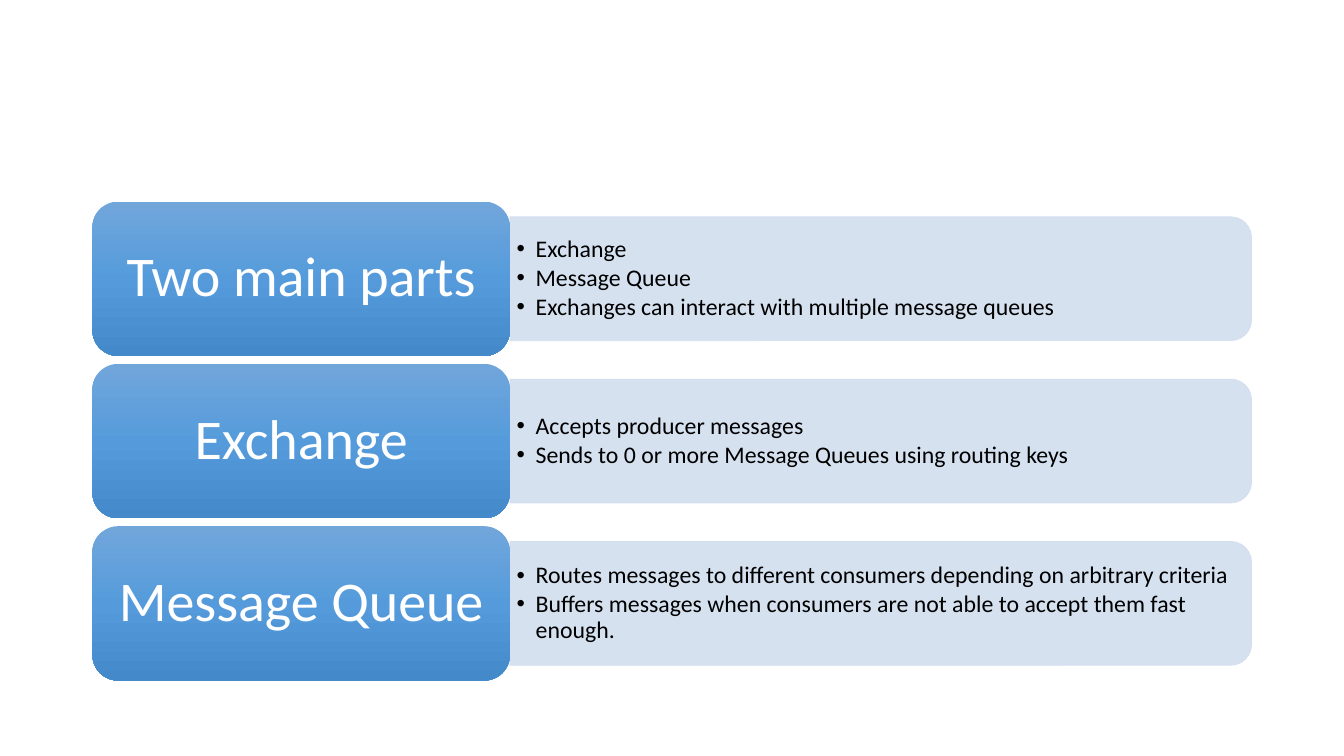
import copy

import pptx
import pptx.dml.color
import pptx.enum.shapes
import pptx.enum.text
import pptx.oxml
import pptx.oxml.ns
import pptx.util

Cm = pptx.util.Cm
Pt = pptx.util.Pt
SHAPES = pptx.enum.shapes.MSO_SHAPE
MIDDLE = pptx.enum.text.MSO_ANCHOR.MIDDLE

ROWS = [
    ("Two main parts", [
        "Exchange",
        "Message Queue",
        "Exchanges can interact with multiple message queues",
    ]),
    ("Exchange", [
        "Accepts producer messages",
        "Sends to 0 or more Message Queues using routing keys",
    ]),
    ("Message Queue", [
        "Routes messages to different consumers depending on arbitrary criteria",
        "Buffers messages when consumers are not able to accept them fast enough.",
    ]),
]
COLORS = {"panel": "D2DEEF", "heading": "FFFFFF", "detail": "000000"}
HEADING_STOPS = [(0, "71A6DB"), (0.5, "559BDB"), (1, "448ACA")]
FONT = "Calibri"

LEFT, TOP, PITCH = 2.33, 5.08, 4.09
HEADING_WIDTH, HEADING_HEIGHT = 10.52, 3.89
PANEL_WIDTH, PANEL_HEIGHT = 18.69, 3.12
DETAIL_WIDTH, DETAIL_HEIGHT = 18.54, 2.82
INDENT = 0.48


def rgb(value):
    return pptx.dml.color.RGBColor.from_string(value)


def add_namespaced(parent, tag, **attributes):
    child = pptx.oxml.parse_xml(f"<a:{tag} {pptx.oxml.ns.nsdecls('a')}/>")
    for name, value in attributes.items():
        child.set(name, value)
    parent.append(child)


def set_frame(frame, side, end):
    frame.word_wrap = True
    frame.vertical_anchor = MIDDLE
    frame.margin_left = frame.margin_right = Cm(side)
    frame.margin_top = frame.margin_bottom = Cm(end)


def set_font(para, size, color):
    para.line_spacing = 0.9
    para.font.name = FONT
    para.font.size = Pt(size)
    para.font.color.rgb = rgb(color)


def add_panel(page, middle):
    """Add a bar whose rounded corners face right, by turning it a quarter."""
    center = LEFT + HEADING_WIDTH + PANEL_WIDTH / 2
    panel = page.shapes.add_shape(
        SHAPES.ROUND_2_SAME_RECTANGLE,
        Cm(center - PANEL_HEIGHT / 2), Cm(middle - PANEL_WIDTH / 2),
        Cm(PANEL_HEIGHT), Cm(PANEL_WIDTH))
    panel.rotation = 90
    panel.shadow.inherit = False
    panel.fill.solid()
    panel.fill.fore_color.rgb = rgb(COLORS["panel"])
    panel.line.color.rgb = rgb(COLORS["panel"])
    panel.line.width = Pt(0.5)
    for color in panel._element.spPr.xpath(".//a:srgbClr"):
        add_namespaced(color, "alpha", val="90000")


def add_details(page, middle, details):
    box = page.shapes.add_textbox(
        Cm(LEFT + HEADING_WIDTH), Cm(middle - DETAIL_HEIGHT / 2),
        Cm(DETAIL_WIDTH), Cm(DETAIL_HEIGHT))
    frame = box.text_frame
    set_frame(frame, 0.17, 0.09)
    frame.text = "\n".join(details)
    for para in frame.paragraphs:
        properties = para._p.get_or_add_pPr()
        properties.set("marL", str(Cm(INDENT)))
        properties.set("indent", str(-Cm(INDENT)))
        add_namespaced(properties, "buFont", typeface="Arial")
        add_namespaced(properties, "buChar", char="•")
        set_font(para, 17, COLORS["detail"])
        para.space_after = Pt(2.1)


def add_heading(page, middle, heading):
    block = page.shapes.add_shape(
        SHAPES.ROUNDED_RECTANGLE,
        Cm(LEFT), Cm(middle - HEADING_HEIGHT / 2),
        Cm(HEADING_WIDTH), Cm(HEADING_HEIGHT))
    block.shadow.inherit = False
    block.line.fill.background()
    block.fill.gradient()
    block.fill.gradient_angle = 270
    stop_list = block._element.spPr.xpath(".//a:gsLst")[0]
    stop_list.append(copy.deepcopy(stop_list[0]))
    for stop, (position, color) in zip(block.fill.gradient_stops, HEADING_STOPS):
        stop.position = position
        stop.color.rgb = rgb(color)
    set_frame(block.text_frame, 0.42, 0.2)
    block.text_frame.text = heading
    para = block.text_frame.paragraphs[0]
    para.alignment = pptx.enum.text.PP_ALIGN.CENTER
    set_font(para, 40, COLORS["heading"])


def main():
    deck = pptx.Presentation()
    deck.slide_width, deck.slide_height = Cm(33.87), Cm(19.05)
    page = deck.slides.add_slide(deck.slide_layouts.get_by_name("Blank"))
    for index, (heading, details) in enumerate(ROWS):
        middle = TOP + HEADING_HEIGHT / 2 + index * PITCH
        add_panel(page, middle)
        add_details(page, middle, details)
        add_heading(page, middle, heading)
    deck.save("out.pptx")


if __name__ == "__main__":
    main()
